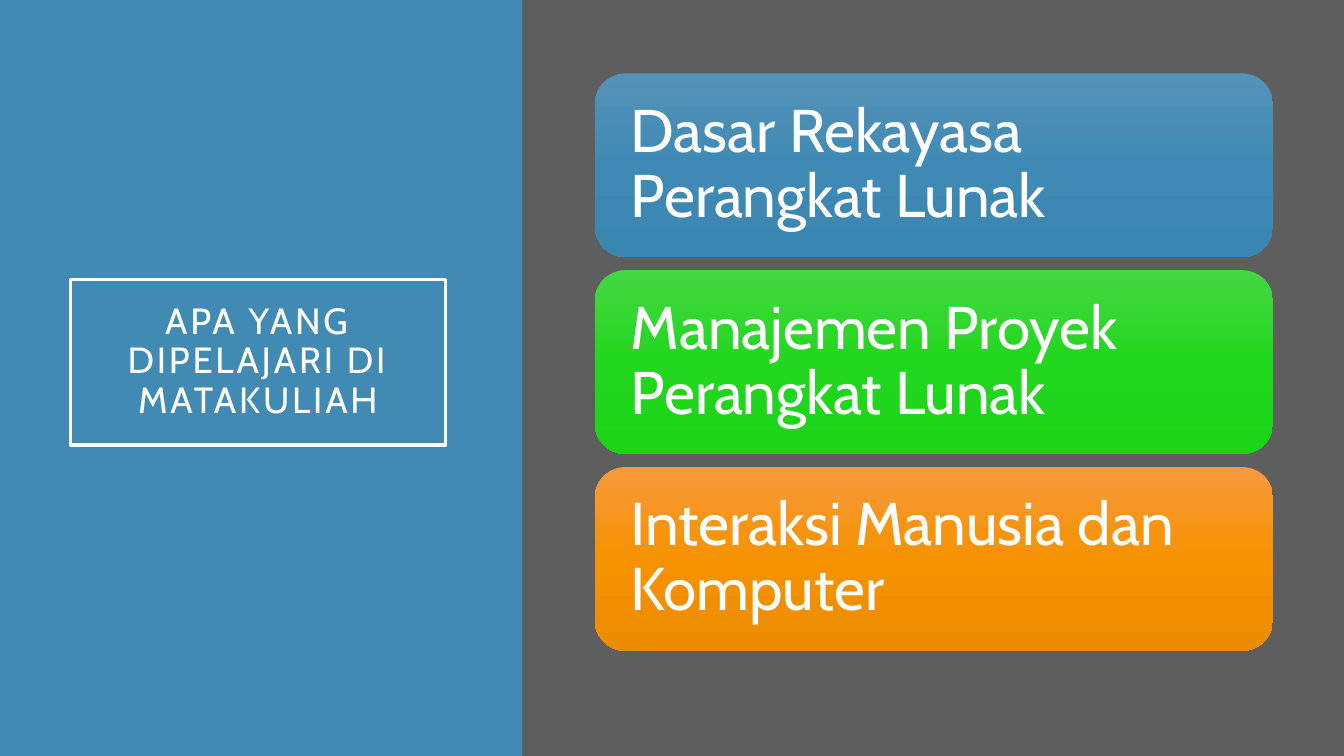
from copy import deepcopy

from pptx import Presentation
from pptx.dml.color import RGBColor
from pptx.enum.shapes import MSO_SHAPE
from pptx.enum.text import MSO_ANCHOR, MSO_AUTO_SIZE, PP_ALIGN
from pptx.oxml.ns import qn
from pptx.util import Cm, Pt

WHITE = RGBColor(0xFF, 0xFF, 0xFF)
GREY = RGBColor(0x5E, 0x5E, 0x5E)
BLUE = RGBColor(0x41, 0x8A, 0xB3)
BLUE_SHADES = (RGBColor(0x55, 0x92, 0xB7), RGBColor(0x3F, 0x8A, 0xB5), RGBColor(0x39, 0x86, 0xB1))
GREEN_SHADES = (RGBColor(0x44, 0xD7, 0x42), RGBColor(0x22, 0xD7, 0x1E), RGBColor(0x1B, 0xD4, 0x17))
ORANGE_SHADES = (RGBColor(0xF7, 0x9A, 0x3D), RGBColor(0xF6, 0x92, 0x00), RGBColor(0xEC, 0x8C, 0x00))

FONT = "Cabin"
PAGE_WIDTH, PAGE_HEIGHT = Cm(33.87), Cm(19.05)
PANEL_WIDTH = Cm(13.16)
CARD_LEFT, CARD_TOP = Cm(14.99), Cm(1.85)
CARD_WIDTH, CARD_HEIGHT, CARD_GAP = Cm(17.09), Cm(4.63), Cm(0.33)

TOPICS = (
    ("Dasar Rekayasa Perangkat Lunak", BLUE_SHADES),
    ("Manajemen Proyek Perangkat Lunak", GREEN_SHADES),
    ("Interaksi Manusia dan Komputer", ORANGE_SHADES),
)


def apply_format(target, values):
    for name, value in values.items():
        setattr(target, name, value)


def write_text(shape, text, size, align, margin):
    frame = shape.text_frame
    frame.text = text
    apply_format(frame, {
        "word_wrap": True, "auto_size": MSO_AUTO_SIZE.NONE,
        "vertical_anchor": MSO_ANCHOR.MIDDLE,
        "margin_left": margin, "margin_right": margin,
        "margin_top": margin, "margin_bottom": margin,
    })
    para = frame.paragraphs[0]
    apply_format(para, {"alignment": align, "line_spacing": 0.9})
    span = para.runs[0]
    apply_format(span.font, {"name": FONT, "size": Pt(size)})
    span.font.color.rgb = WHITE
    return span


def add_box(page, preset, left, top, width, height):
    box = page.shapes.add_shape(preset, left, top, width, height)
    box.shadow.inherit = False
    box.line.fill.background()
    return box


def fill_gradient(box, shades):
    """Fill from top to bottom with evenly spaced shades."""
    box.fill.gradient()
    box.fill.gradient_angle = 270
    stop_list = box.fill._xPr.find(qn("a:gradFill")).find(qn("a:gsLst"))
    while len(stop_list) < len(shades):
        stop_list.append(deepcopy(stop_list[0]))
    for index, (stop, shade) in enumerate(zip(box.fill.gradient_stops, shades)):
        stop.position = index / (len(shades) - 1)
        stop.color.rgb = shade


def add_side_panel(page):
    panel = add_box(page, MSO_SHAPE.RECTANGLE, 0, 0, PANEL_WIDTH, PAGE_HEIGHT)
    panel.fill.solid()
    panel.fill.fore_color.rgb = BLUE
    # Keep the panel behind the title
    page.shapes.title._element.addprevious(panel._element)


def format_title(page, text):
    title = page.shapes.title
    apply_format(title, {"left": Cm(1.78), "top": Cm(7.04), "width": Cm(9.45), "height": Cm(4.17)})
    title.line.color.rgb = WHITE
    title.line.width = Pt(2.5)
    span = write_text(title, text, 26, PP_ALIGN.CENTER, Cm(0.51))
    span.font._element.set("spc", "200")  # letter spacing of 2 pt


def add_card(page, top, text, shades):
    card = add_box(page, MSO_SHAPE.ROUNDED_RECTANGLE, CARD_LEFT, top, CARD_WIDTH, CARD_HEIGHT)
    fill_gradient(card, shades)
    write_text(card, text, 43, PP_ALIGN.LEFT, Cm(0.68))


def main():
    deck = Presentation()
    apply_format(deck, {"slide_width": PAGE_WIDTH, "slide_height": PAGE_HEIGHT})
    page = deck.slides.add_slide(deck.slide_layouts[5])
    page.background.fill.solid()
    page.background.fill.fore_color.rgb = GREY

    # Left side: panel and framed title
    add_side_panel(page)
    format_title(page, "APA YANG DIPELAJARI DI MATAKULIAH")

    # Right side: one card per topic
    for index, (text, shades) in enumerate(TOPICS):
        add_card(page, CARD_TOP + index * (CARD_HEIGHT + CARD_GAP), text, shades)

    deck.save("out.pptx")


main()
